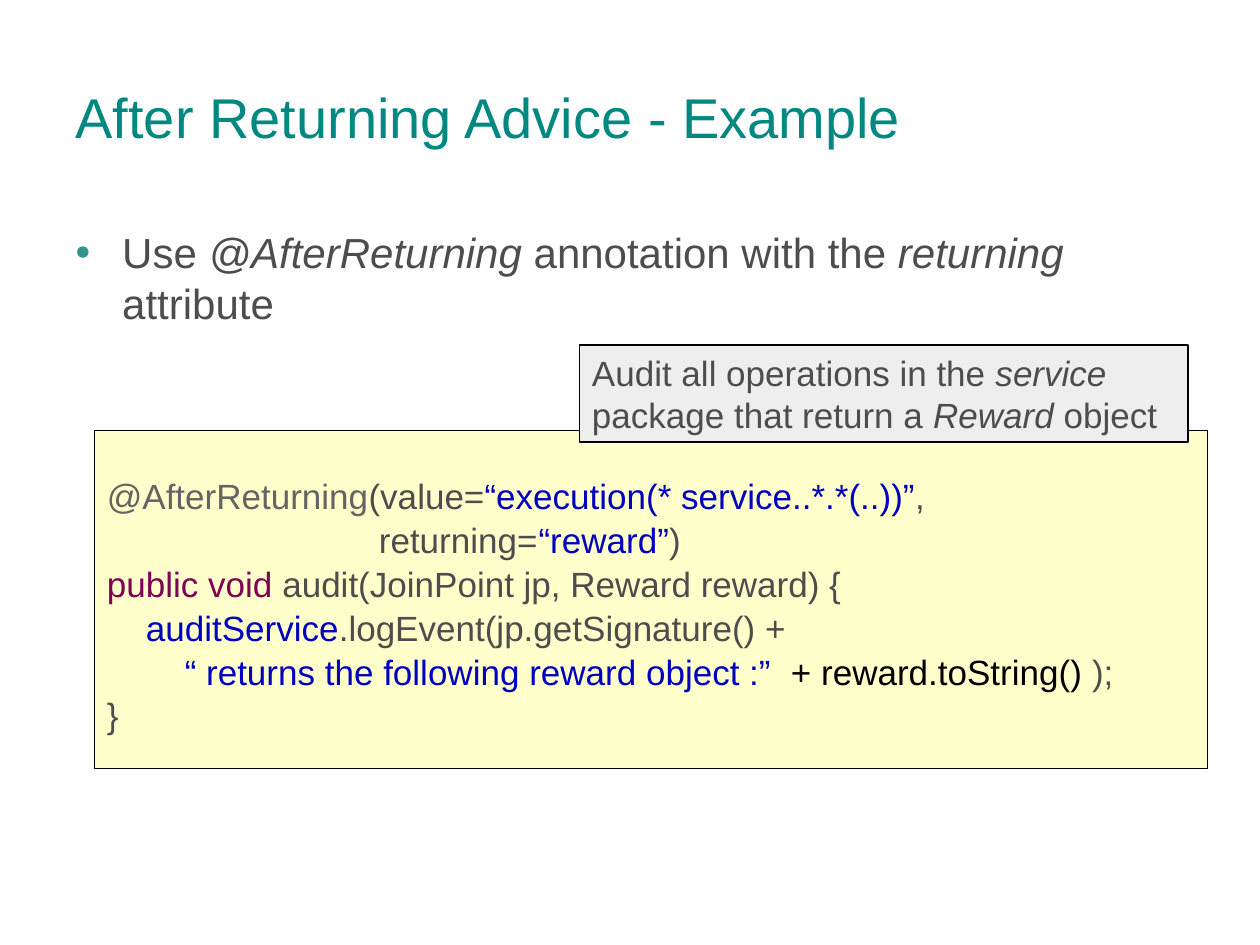
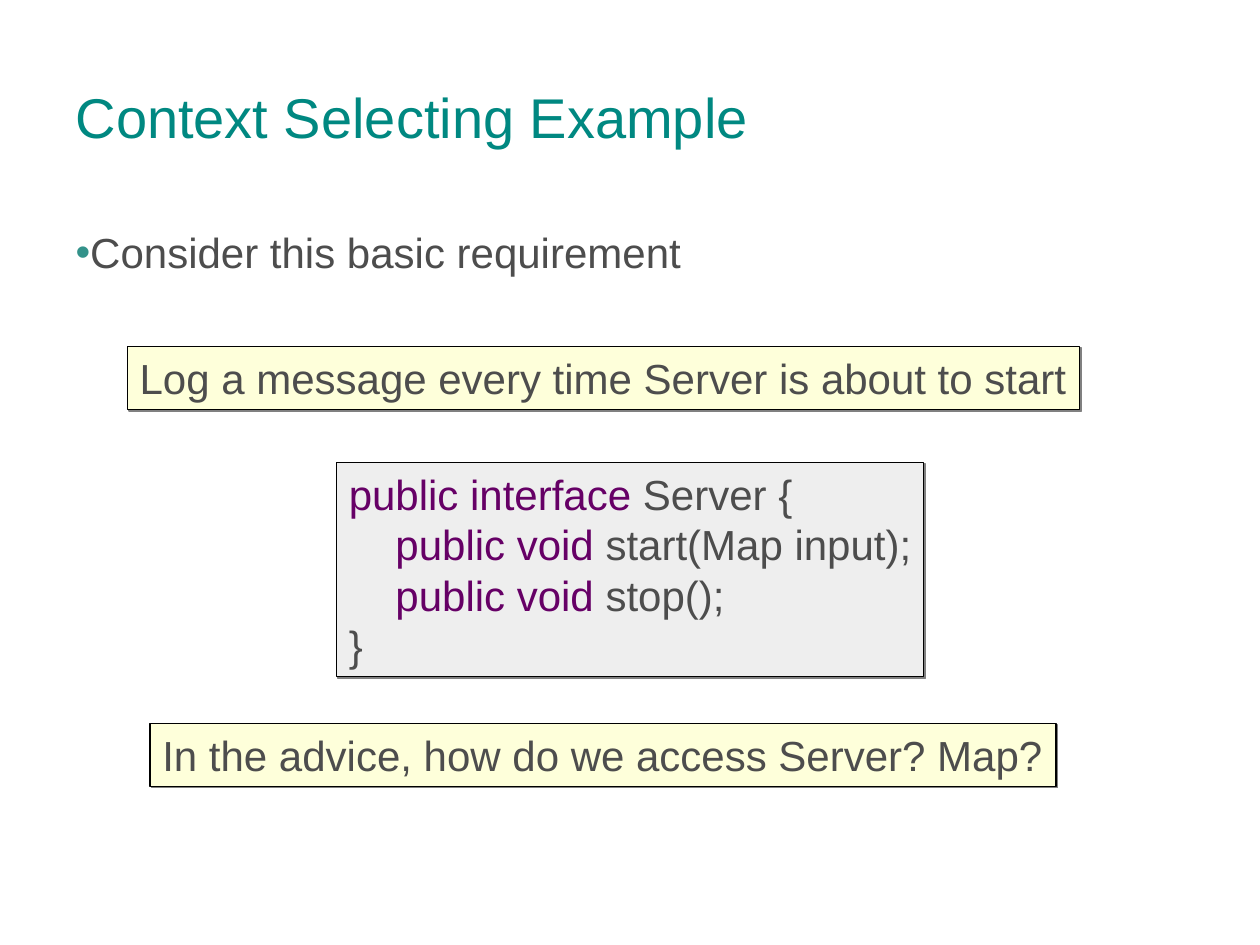
from dataclasses import dataclass
from typing import NamedTuple

from lxml import etree
from pptx import Presentation
from pptx import util as u
from pptx.dml.color import RGBColor
from pptx.enum import shapes, text
from pptx.oxml import ns

FONT = "Arial"
TEAL = RGBColor(0x00, 0x88, 0x81)
BULLET_TEAL = RGBColor(0x33, 0x92, 0x8A)
GREY = RGBColor(0x4D, 0x4D, 0x4D)
ANNOTATION_GREY = RGBColor(0x64, 0x64, 0x64)
STRING_BLUE = RGBColor(0x00, 0x00, 0xC0)
KEYWORD_PLUM = RGBColor(0x7F, 0x00, 0x55)
KEYWORD_PURPLE = RGBColor(0x66, 0x00, 0x66)
BLACK = RGBColor(0x00, 0x00, 0x00)
SHADOW_GREY = RGBColor(0x80, 0x80, 0x80)
CODE_YELLOW = RGBColor(0xFF, 0xFF, 0xCC)
NOTE_YELLOW = RGBColor(0xFE, 0xFF, 0xDA)
PALE_GREY = RGBColor(0xEE, 0xEE, 0xEE)

WIDTH, HEIGHT = u.Inches(10), u.Inches(7.5)
COLUMNS, ROWS = 40, 30


class Area(NamedTuple):
    """Place on the slide grid, in columns and rows."""
    col: float
    row: float
    cols: float
    rows: float

    def lengths(self) -> tuple:
        cell_w, cell_h = WIDTH / COLUMNS, HEIGHT / ROWS
        return (u.Emu(round(self.col * cell_w)), u.Emu(round(self.row * cell_h)),
                u.Emu(round(self.cols * cell_w)), u.Emu(round(self.rows * cell_h)))


class Run(NamedTuple):
    text: str
    color: RGBColor = GREY
    italic: bool = False


Line = list[Run]


@dataclass
class Panel:
    """Outlined box holding code or a remark."""
    area: Area
    lines: list[Line]
    fill: RGBColor
    size: float = 24
    border: float = 0.75
    shadow: bool = True
    wrap: bool = False
    anchor: text.MSO_ANCHOR = text.MSO_ANCHOR.TOP
    line_spacing: float = 1.0
    gap: float = 0
    top_inset: float = 0.05


TITLE_AREA = Area(2, 1.2, 36, 5)
BODY_AREA = Area(2, 7, 36, 17.8)


def write_line(p, line: Line, size: float) -> None:
    for part in line:
        r = p.add_run()
        r.text = part.text
        r.font.name, r.font.size = FONT, u.Pt(size)
        r.font.color.rgb, r.font.italic = part.color, part.italic


def place(sp, area: Area) -> None:
    sp.left, sp.top, sp.width, sp.height = area.lengths()


def add_shadow(sp) -> None:
    """Hard grey shadow just below and to the right."""
    effects = sp._element.spPr.find(ns.qn("a:effectLst"))
    shadow = etree.SubElement(effects, ns.qn("a:outerShdw"), blurRad="0",
                              dist=str(u.Pt(1.4)), dir="2700000",
                              algn="ctr", rotWithShape="0")
    etree.SubElement(shadow, ns.qn("a:srgbClr"), val=str(SHADOW_GREY))


def set_bullet(p, indent: float) -> None:
    """Teal bullet hanging by the given inches."""
    pPr = p._p.get_or_add_pPr()
    pPr.set("marL", str(u.Inches(indent)))
    pPr.set("indent", str(-u.Inches(indent)))
    color = etree.SubElement(pPr, ns.qn("a:buClr"))
    etree.SubElement(color, ns.qn("a:srgbClr"), val=str(BULLET_TEAL))
    etree.SubElement(pPr, ns.qn("a:buFont"), typeface=FONT)
    etree.SubElement(pPr, ns.qn("a:buChar"), char="•")


def add_panel(s, panel: Panel) -> None:
    sp = s.shapes.add_shape(shapes.MSO_SHAPE.RECTANGLE, *panel.area.lengths())
    sp.fill.solid()
    sp.fill.fore_color.rgb = panel.fill
    sp.line.color.rgb, sp.line.width = BLACK, u.Pt(panel.border)
    sp.shadow.inherit = False
    if panel.shadow:
        add_shadow(sp)
    tf = sp.text_frame
    tf.word_wrap, tf.vertical_anchor = panel.wrap, panel.anchor
    tf.margin_top = u.Inches(panel.top_inset)
    for i, line in enumerate(panel.lines):
        p = tf.add_paragraph() if i else tf.paragraphs[0]
        p.alignment = text.PP_ALIGN.LEFT
        p.line_spacing = panel.line_spacing
        p.space_before = u.Pt(panel.gap if i else 0)
        write_line(p, line, panel.size)


def add_slide(prs, title: str, bullet: Line, indent: float, panels: list[Panel]) -> None:
    s = prs.slides.add_slide(prs.slide_layouts.get_by_name("Title and Content"))
    heading, body = s.placeholders
    place(heading, TITLE_AREA)
    place(body, BODY_AREA)
    heading.text_frame.vertical_anchor = text.MSO_ANCHOR.MIDDLE
    for sp in (heading, body):
        sp.text_frame.auto_size = text.MSO_AUTO_SIZE.NONE
        p = sp.text_frame.paragraphs[0]
        p.alignment, p.space_before = text.PP_ALIGN.LEFT, u.Pt(0)
    write_line(heading.text_frame.paragraphs[0], [Run(title, TEAL)], 32)
    p = body.text_frame.paragraphs[0]
    set_bullet(p, indent)
    write_line(p, bullet, 24)
    for panel in panels:
        add_panel(s, panel)


AUDIT_CODE = Panel(
    Area(3, 13.68, 35.32, 10.72),
    [[Run("@AfterReturning", ANNOTATION_GREY), Run("(value="),
      Run("“execution(* service..*.*(..))”", STRING_BLUE), Run(",")],
     [Run("                            returning="),
      Run("“reward”", STRING_BLUE), Run(")")],
     [Run("public void ", KEYWORD_PLUM),
      Run("audit(JoinPoint jp, Reward reward) {")],
     [Run("    "), Run("auditService", STRING_BLUE),
      Run(".logEvent(jp.getSignature() +")],
     [Run("        "),
      Run("“ returns the following reward object :”  ", STRING_BLUE),
      Run("+ reward.toString() ", BLACK), Run(");")],
     [Run("}")]],
    CODE_YELLOW, size=20, border=0.5, shadow=False, wrap=True,
    anchor=text.MSO_ANCHOR.MIDDLE, line_spacing=0.8, gap=5.8, top_inset=0.2)

AUDIT_REMARK = Panel(
    Area(18.4, 10.96, 19.32, 3.08),
    [[Run("Audit all operations in the "), Run("service", italic=True)],
     [Run("package that return a "), Run("Reward", italic=True), Run(" object")]],
    PALE_GREY, size=20, border=1, shadow=False, wrap=True)

REQUIREMENT = Panel(
    Area(4.04, 11, 30.24, 2),
    [[Run("Log a message every time Server is about to start")]], NOTE_YELLOW)

SERVER_CODE = Panel(
    Area(10.68, 14.68, 18.64, 6.8),
    [[Run("public interface", KEYWORD_PURPLE), Run(" Server {")],
     *[[Run("    "), Run("public void", KEYWORD_PURPLE), Run(f" {method};")]
       for method in ("start(Map input)", "stop()")],
     [Run("}")]],
    PALE_GREY)

QUESTION = Panel(
    Area(4.76, 22.96, 28.76, 2),
    [[Run("In the advice, how do we access Server? Map?")]], NOTE_YELLOW)


def main() -> None:
    prs = Presentation()
    prs.slide_width, prs.slide_height = WIDTH, HEIGHT
    add_slide(prs, "After Returning Advice - Example",
              [Run("Use "), Run("@AfterReturning", italic=True),
               Run(" annotation with the "), Run("returning", italic=True),
               Run(" attribute")],
              0.37, [AUDIT_CODE, AUDIT_REMARK])
    add_slide(prs, "Context Selecting Example",
              [Run("Consider this basic requirement")],
              0, [REQUIREMENT, SERVER_CODE, QUESTION])
    prs.save("out.pptx")


if __name__ == "__main__":
    main()
